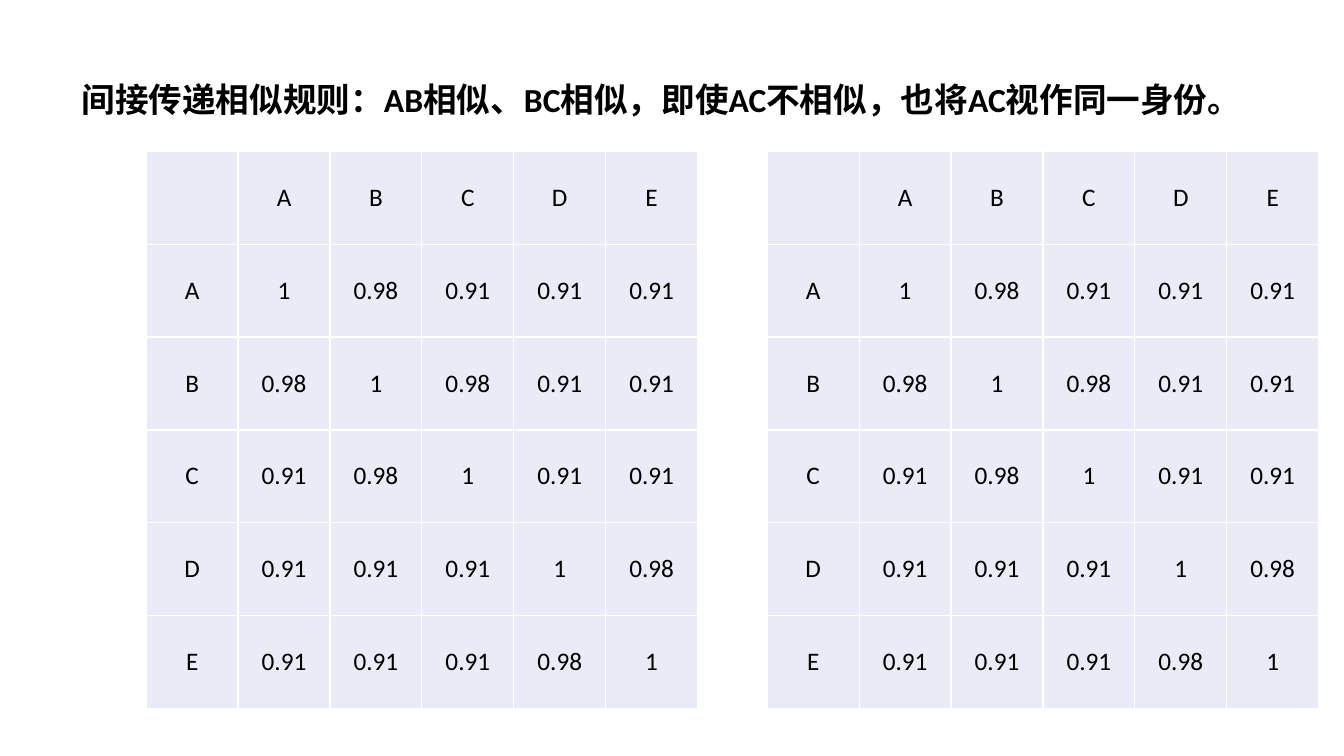
from lxml import etree
from pptx import Presentation
from pptx.dml.color import RGBColor
from pptx.enum import text
from pptx.oxml import ns
from pptx.util import Inches, Pt

BLACK = RGBColor(0x00, 0x00, 0x00)
WHITE = RGBColor(0xFF, 0xFF, 0xFF)
LAVENDER = RGBColor(0xE9, 0xEB, 0xF6)

TITLE_FONT = {"name": "Calibri", "size": Pt(24), "bold": True}
CELL_FONT = {"name": "Calibri", "size": Pt(18), "bold": False}

TITLE = "间接传递相似规则：AB相似、BC相似，即使AC不相似，也将AC视作同一身份。"
ITEMS = "ABCDE"
SIMILAR_PAIRS = {"AB", "BC", "DE"}


def set_font(font, fmt):
    for name, value in fmt.items():
        setattr(font, name, value)
    font.color.rgb = BLACK


def similarity(a, b):
    if a == b:
        return "1"
    return "0.98" if "".join(sorted(a + b)) in SIMILAR_PAIRS else "0.91"


def add_borders(cell):
    tcPr = cell._tc.get_or_add_tcPr()
    for side in ("lnL", "lnR", "lnT", "lnB"):
        ln = etree.SubElement(tcPr, ns.qn(f"a:{side}"), w=str(Pt(1)))
        fill = etree.SubElement(ln, ns.qn("a:solidFill"))
        etree.SubElement(fill, ns.qn("a:srgbClr"), val=str(WHITE))


def add_title(slide, left, top, width, height):
    tf = slide.shapes.add_textbox(left, top, width, height).text_frame
    tf.word_wrap = True
    tf.vertical_anchor = text.MSO_ANCHOR.MIDDLE
    p = tf.paragraphs[0]
    p.line_spacing = 0.9
    r = p.add_run()
    r.text = TITLE
    set_font(r.font, TITLE_FONT)


def add_similarity_table(slide, left, top, width, height):
    # Header row and column around the matrix of pairwise values
    rows = [["", *ITEMS]]
    rows += [[a, *(similarity(a, b) for b in ITEMS)] for a in ITEMS]
    n = len(rows)
    table = slide.shapes.add_table(n, n, left, top, width, height).table
    for i, row in enumerate(rows):
        for j, value in enumerate(row):
            cell = table.cell(i, j)
            add_borders(cell)
            cell.fill.solid()
            cell.fill.fore_color.rgb = LAVENDER
            cell.vertical_anchor = text.MSO_ANCHOR.MIDDLE
            p = cell.text_frame.paragraphs[0]
            p.alignment = text.PP_ALIGN.CENTER
            if value:
                r = p.add_run()
                r.text = value
                set_font(r.font, CELL_FONT)


def main():
    prs = Presentation()
    prs.slide_width, prs.slide_height = Inches(13.33), Inches(7.5)
    slide = prs.slides.add_slide(prs.slide_layouts[6])

    # Title
    add_title(slide, Inches(0.71), Inches(0.28), Inches(11.5), Inches(1.45))

    # Two matrices side by side
    for left in (1.45, 7.61):
        add_similarity_table(slide, Inches(left), Inches(1.5), Inches(5.47), Inches(5.53))

    prs.save("out.pptx")


if __name__ == "__main__":
    main()
